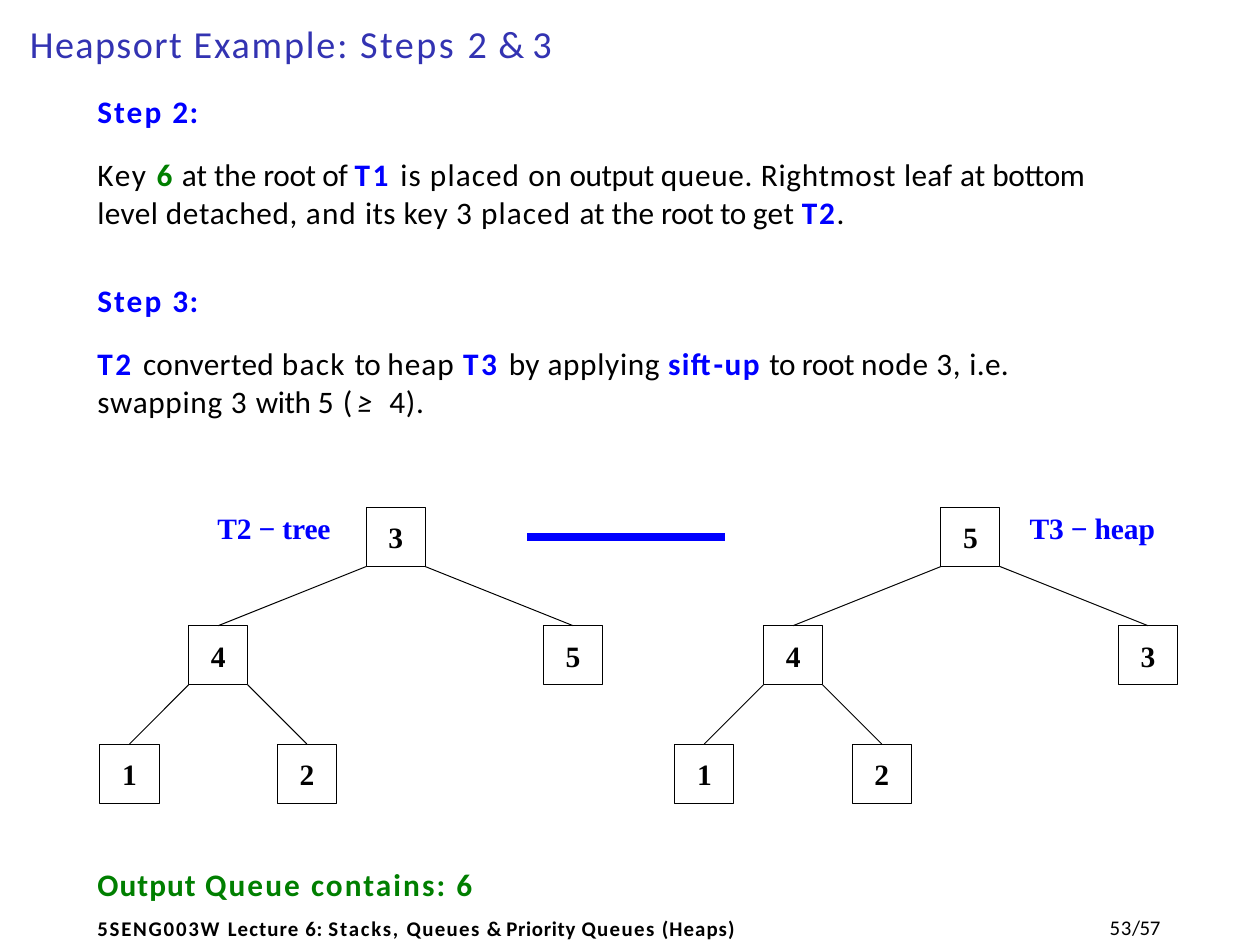
from lxml.etree import SubElement
from pptx import Presentation
from pptx.dml.color import RGBColor
from pptx.enum.shapes import MSO_CONNECTOR as Line, MSO_SHAPE as Shape
from pptx.enum.text import MSO_ANCHOR as Anchor, PP_ALIGN as Align
from pptx.oxml.ns import qn
from pptx.util import Inches, Pt

COLOURS = {"title": "3333B2", "blue": "0000FF", "green": "007F00", "black": "000000"}
BODY_FONT = "Calibri"
TREE_FONT = "Times New Roman"

# Page size in points
PAGE_WIDTH, PAGE_HEIGHT = 363, 272.5

# Tree grid: half-node gaps between columns, one-node gaps between rows
SIDE = 0.71 / 3
COLUMN_STEP = 1.5 * SIDE
ROW_STEP = 2 * SIDE
TREE_TOP = 2.03
NODE_CELLS = [(3, 0), (1, 1), (5, 1), (0, 2), (2, 2)]  # column, row
EDGES = [(0, 1), (0, 2), (1, 3), (1, 4)]  # parent, child


def colour(name):
    return RGBColor.from_string(COLOURS[name])


def add_span(para, text, size, font, spacing=0, shade="black", bold=False, italic=False):
    span = para.add_run()
    span.text = text
    span.font.size = Pt(size)
    span.font.name = font
    span.font.bold = bold
    span.font.italic = italic
    span.font.color.rgb = colour(shade)
    span.font._element.set("spc", str(round(spacing * 100)))


def clear_margins(frame):
    frame.margin_left = frame.margin_top = frame.margin_right = frame.margin_bottom = 0


def add_text(page, left, top, width, height, paras, font=BODY_FONT, line_spacing=1.0):
    """Each paragraph is (size, space before, spans)."""
    box = page.shapes.add_textbox(Inches(left), Inches(top), Inches(width), Inches(height))
    frame = box.text_frame
    frame.word_wrap = True
    clear_margins(frame)
    for index, (size, before, spans) in enumerate(paras):
        para = frame.add_paragraph() if index else frame.paragraphs[0]
        para.line_spacing = line_spacing
        if before:
            para.space_before = Pt(before)
        for text, *style in spans:
            add_span(para, text, size, font, *style)


def add_line(page, x1, y1, x2, y2, shade="black", weight=0.28):
    line = page.shapes.add_connector(Line.STRAIGHT, Inches(x1), Inches(y1), Inches(x2), Inches(y2))
    line.line.color.rgb = colour(shade)
    line.line.width = Pt(weight)
    SubElement(line._element.spPr, qn("a:effectLst"))
    return line


def add_node(page, left, top, key):
    node = page.shapes.add_shape(Shape.RECTANGLE, Inches(left), Inches(top), Inches(SIDE), Inches(SIDE))
    node.shadow.inherit = False
    node.fill.background()
    node.line.color.rgb = colour("black")
    node.line.width = Pt(0.28)
    frame = node.text_frame
    clear_margins(frame)
    frame.vertical_anchor = Anchor.MIDDLE
    para = frame.paragraphs[0]
    para.alignment = Align.CENTER
    add_span(para, key, 8.5, TREE_FONT, bold=True)
    return node


def add_tree(page, left, keys):
    corners = [(left + column * COLUMN_STEP, TREE_TOP + row * ROW_STEP) for column, row in NODE_CELLS]
    nodes = [add_node(page, x, y, key) for (x, y), key in zip(corners, keys)]
    for parent, child in EDGES:
        (x1, y1), (x2, y2) = corners[parent], corners[child]
        start = x1 if x2 < x1 else x1 + SIDE
        edge = add_line(page, start, y1 + SIDE, x2 + SIDE / 2, y2)
        edge.end_connect(nodes[child], 0)


def add_tree_label(page, left, text):
    spans = [(text, -0.05, "blue", True)]
    add_text(page, left, 2.04, 0.6, 0.17, [(8.5, 0, spans)], TREE_FONT)


def main():
    deck = Presentation()
    deck.slide_width, deck.slide_height = Pt(PAGE_WIDTH), Pt(PAGE_HEIGHT)
    page = deck.slides.add_slide(deck.slide_layouts[6])

    # Title
    add_text(page, 0.12, 0.08, 2.3, 0.2, [
        (11, 0, [("Heapsort ", 0.4, "title"), ("Example: ", 0.5, "title"), ("Steps ", 0.7, "title"),
                 ("2 ", 0.4, "title"), ("& ", -0.2, "title"), ("3", 0.4, "title")]),
    ])

    # Explanation of both steps
    add_text(page, 0.39, 0.37, 4.13, 1.33, [
        (9, 0, [("Step ", 0.6, "blue", True), ("2:", 0.4, "blue", True)]),
        (9, 7.1, [
            ("Key ", 0.5), ("6 ", 0.3, "green", True), ("at the ", 0), ("root of ", -0.1),
            ("T1 ", 0.7, "blue", True), ("is placed ", 0.3), ("on ", 0.1), ("output ", -0.1),
            ("queue. Rightmost ", 0.2), ("leaf ", 0.1), ("at ", 0), ("bottom ", -0.1),
            ("level ", 0.1), ("detached, ", 0.2), ("and ", 0.3), ("its ", 0.1), ("key ", 0.2),
            ("3 placed ", 0.3), ("at the ", 0), ("root to ", -0.1), ("get ", 0.1),
            ("T2", 0.5, "blue", True), (".", 0.5)]),
        (9, 14.5, [("Step ", 0.6, "blue", True), ("3:", 0.4, "blue", True)]),
        (9, 7.1, [
            ("T2 ", 0.7, "blue", True), ("converted ", 0.1), ("back ", 0.4), ("to ", -0.1),
            ("heap ", 0.3), ("T3 ", 0.7, "blue", True), ("by ", 0.1), ("applying ", 0.2),
            ("sift-up ", 0.4, "blue", True), ("to root ", -0.1), ("node 3, ", 0.2), ("i.e. ", 0.1),
            ("swapping ", 0.2), ("3 ", 0.3), ("with ", -0.1), ("5 ", 0.3), ("(", 1.4),
            ("≥ ", 1.4, "black", False, True), ("4).", 0.2)]),
    ], line_spacing=1.01)

    # Trees before and after the swap
    add_tree(page, 0.4, "34512")
    add_tree(page, 2.7, "54312")
    add_tree_label(page, 0.87, "T2 − tree")
    add_tree_label(page, 4.12, "T3 − heap")
    add_line(page, 2.11, 2.15, 2.9, 2.15, "blue", 2.27)

    # Output queue and footer
    add_text(page, 0.39, 3.46, 2.8, 0.3, [
        (9, 0, [("Output ", 0.3, "green", True), ("Queue contains: ", 0.6, "green", True),
                ("6", 0.3, "green", True)]),
        (6, 3.9, [(text, spacing, "black", True) for text, spacing in [
            ("5SENG003W ", 0.5), ("Lecture ", 0.3), ("6: ", 0.2), ("Stacks, ", 0.5),
            ("Queues ", 0.4), ("& ", 0), ("Priority ", 0.2), ("Queues ", 0.4), ("(Heaps)", 0.3)]]),
    ])
    add_text(page, 4.44, 3.66, 0.3, 0.11, [(6, 0, [("53", 0.2), ("/57", -0.1)])])

    deck.save("out.pptx")


if __name__ == "__main__":
    main()
